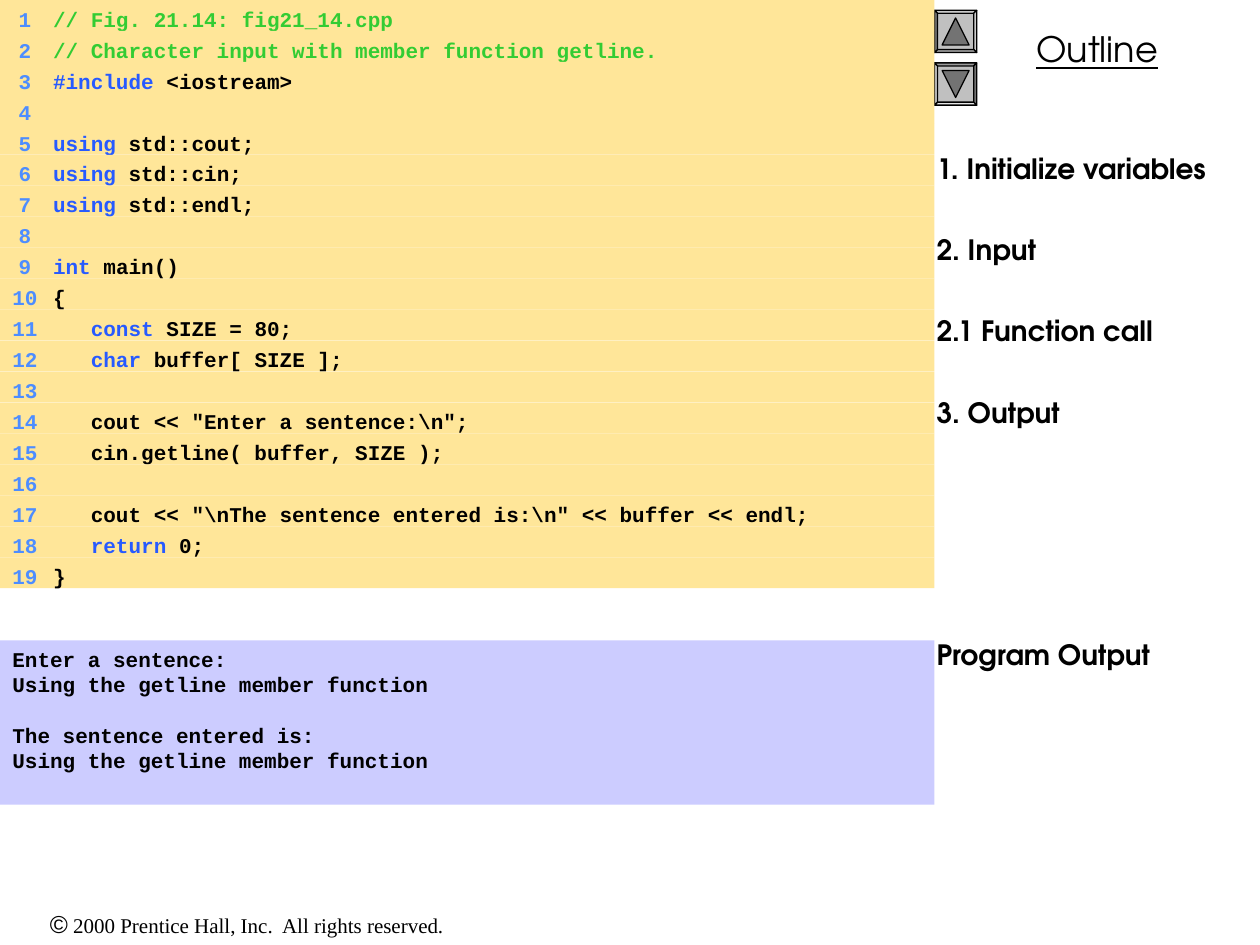
from lxml import etree
from pptx import Presentation, util as u
from pptx.dml.color import RGBColor
from pptx.enum import shapes as kinds, text
from pptx.oxml.ns import qn

CODE = r'''// Fig. 21.14: fig21_14.cpp
// Character input with member function getline.
#include <iostream>

using std::cout;
using std::cin;
using std::endl;

int main()
{
   const SIZE = 80;
   char buffer[ SIZE ];

   cout << "Enter a sentence:\n";
   cin.getline( buffer, SIZE );

   cout << "\nThe sentence entered is:\n" << buffer << endl;
   return 0;
}'''.split("\n")
WORDS = {"#include", "using", "int", "const", "char", "return"}
MONO, SANS = "Courier New", "TeX Gyre Adventor"
BLACK, GREEN, BLUE, PALE = "000000", "33CC33", "275AFF", "4D8DFF"


def paint(shape, fill, line=None):
    """Give a shape a flat fill and a thin line, or no line."""
    shape.shadow.inherit = False
    shape.fill.solid()
    shape.fill.fore_color.rgb = RGBColor.from_string(fill)
    if line:
        shape.line.color.rgb = RGBColor.from_string(line)
        shape.line.width = u.Pt(0.75)
    else:
        shape.line.fill.background()


def style(run, face, size, color=BLACK, bold=False):
    font = run.font
    font.name, font.size, font.bold = face, u.Pt(size), bold
    font.color.rgb = RGBColor.from_string(color)


deck = Presentation()
deck.slide_width, deck.slide_height = u.Cm(25.4), u.Cm(19.05)
slide = deck.slides.add_slide(deck.slide_layouts[6])
items = slide.shapes
wide = u.Cm(18.84)

# Footer and heading
foot = items.add_textbox(0, u.Cm(18.21), u.Cm(9.96), u.Cm(0.86))
foot.text_frame.word_wrap = True
para = foot.text_frame.paragraphs[0]
para.alignment = text.PP_ALIGN.CENTER
for words, face, size in (
    ("©", "Arial", 14),
    (" 2000 Prentice Hall, Inc.  All rights reserved.", "Times New Roman", 12),
):
    run = para.add_run()
    run.text = words
    style(run, face, size)

head = items.add_textbox(wide, u.Cm(0.43), u.Cm(6.56), u.Cm(1.12))
head.text_frame.word_wrap = True
head.text_frame.text = "Outline"
para = head.text_frame.paragraphs[0]
para.alignment = text.PP_ALIGN.CENTER
style(para.runs[0], SANS, 20)
para.runs[0].font.underline = True

# Up and down buttons: face, four bevels (top, right, bottom, left), arrow
side, edge = u.Cm(0.85), u.Cm(0.06)
for top, tip, base, shades in (
    (u.Cm(0.21), 0.18, 0.82, ("E6E6E6", "CDCDCD", "9A9A9A", "737373")),
    (u.Cm(1.27), 0.82, 0.18, ("9A9A9A", "737373", "E6E6E6", "CDCDCD")),
):
    outer = [(0, 0), (side, 0), (side, side), (0, side)]
    far = side - edge
    inner = [(edge, edge), (far, edge), (far, far), (edge, far)]
    faces = [(outer, "C0C0C0")]
    for i, shade in enumerate(shades):
        j = (i + 1) % 4
        faces.append(([outer[i], outer[j], inner[j], inner[i]], shade))
    arrow = [(0.5, tip), (0.82, base), (0.18, base)]
    faces.append(([(int(x * side), int(y * side)) for x, y in arrow], "737373"))
    button = items.add_group_shape().shapes
    for points, shade in faces:
        spots = [(wide + x, top + y) for x, y in points]
        pen = button.build_freeform(*spots[0])
        pen.add_line_segments(spots[1:], close=True)
        paint(pen.convert_to_shape(), shade, BLACK)

# Outline topics
topics = items.add_textbox(u.Cm(18.63), u.Cm(2.93), u.Cm(6.77), u.Cm(16.12))
topics.text_frame.word_wrap = True
topics.text_frame.text = (
    "1. Initialize variables\n2. Input\n2.1 Function call\n3. Output\nProgram Output"
)
for para, gap in zip(topics.text_frame.paragraphs, (0, 27.2, 27.2, 27.2, 119.6)):
    para.space_before = u.Pt(gap)
    style(para.runs[0], SANS, 16, bold=True)

# Numbered code rows
rows = items.add_group_shape().shapes
high = u.Cm(11.86) / len(CODE)
for i, line in enumerate(CODE):
    row = rows.add_shape(
        kinds.MSO_SHAPE.RECTANGLE, 0, int(i * high), wide, int(high)
    )
    paint(row, "FFE699")
    frame = row.text_frame
    frame.vertical_anchor = text.MSO_ANCHOR.TOP
    para = frame.paragraphs[0]
    para.alignment = text.PP_ALIGN.LEFT
    stops = etree.SubElement(para._p.get_or_add_pPr(), qn("a:tabLst"))
    for spot, align in ((0, "l"), (0.38, "r"), (0.82, "l")):
        etree.SubElement(stops, qn("a:tab"), pos=str(u.Cm(spot)), algn=align)

    body = line.lstrip()
    pad = line[: len(line) - len(body)]
    word = body.split(" ")[0]
    if word in WORDS:
        parts = [(pad + word, BLUE), (body[len(word):], BLACK)]
    else:
        parts = [(line, GREEN if word == "//" else BLACK)]
    for words, color in [(f"\t{i + 1}\t", PALE)] + parts:
        if words:
            run = para.add_run()
            run.text = words
            style(run, MONO, 12, color, True)

# Program output
out = items.add_shape(
    kinds.MSO_SHAPE.RECTANGLE, 0, u.Cm(12.91), wide, u.Cm(3.31)
)
paint(out, "CCCCFF")
frame = out.text_frame
frame.vertical_anchor = text.MSO_ANCHOR.TOP
frame.text = (
    "Enter a sentence:\nUsing the getline member function\n"
    "The sentence entered is:\nUsing the getline member function"
)
for para in frame.paragraphs:
    para.alignment = text.PP_ALIGN.LEFT
    style(para.runs[0], MONO, 12, bold=True)
frame.paragraphs[2].space_before = u.Pt(14.4)

deck.save("out.pptx")
